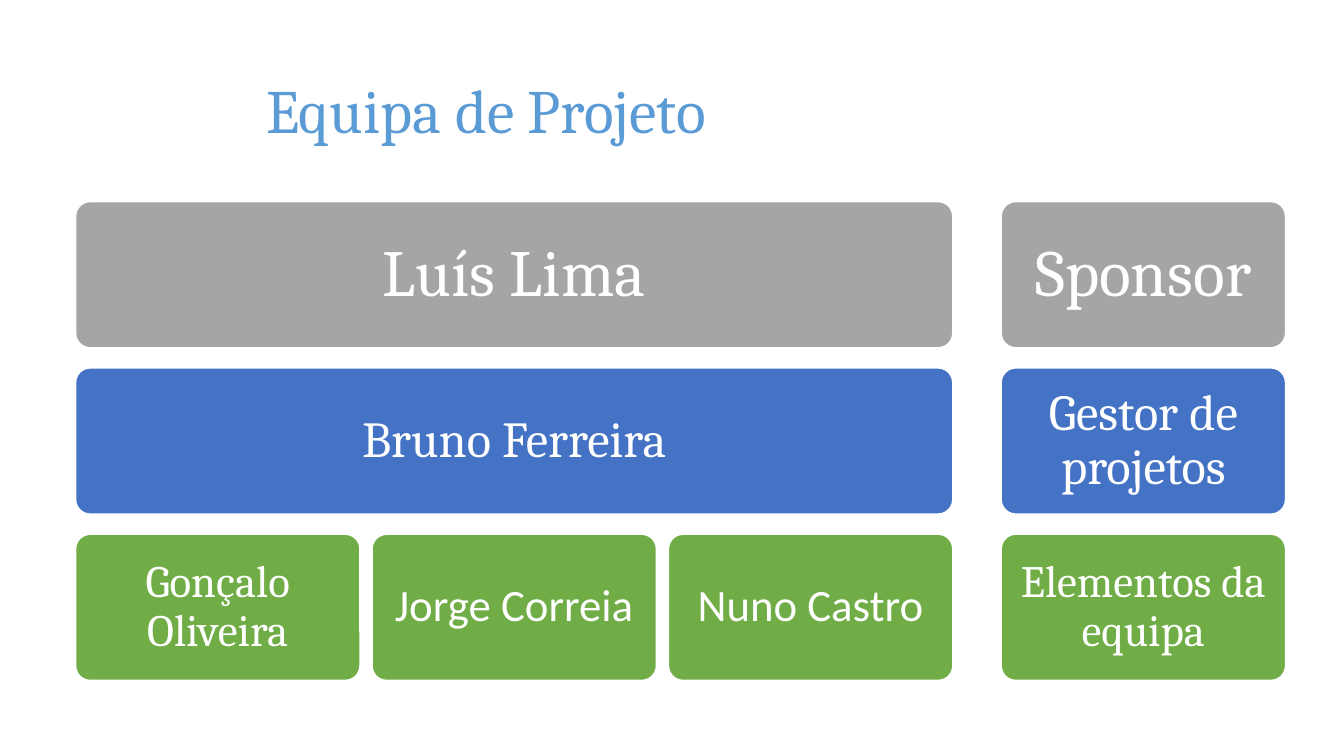
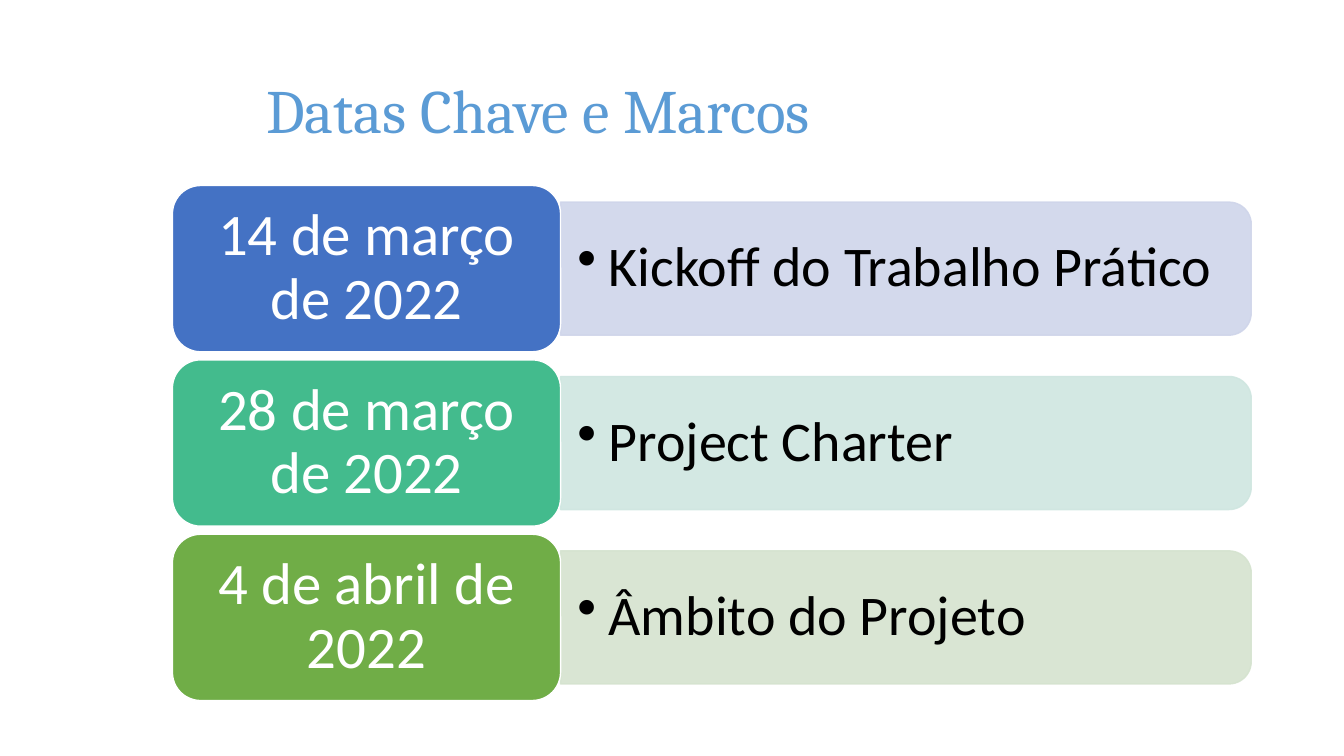
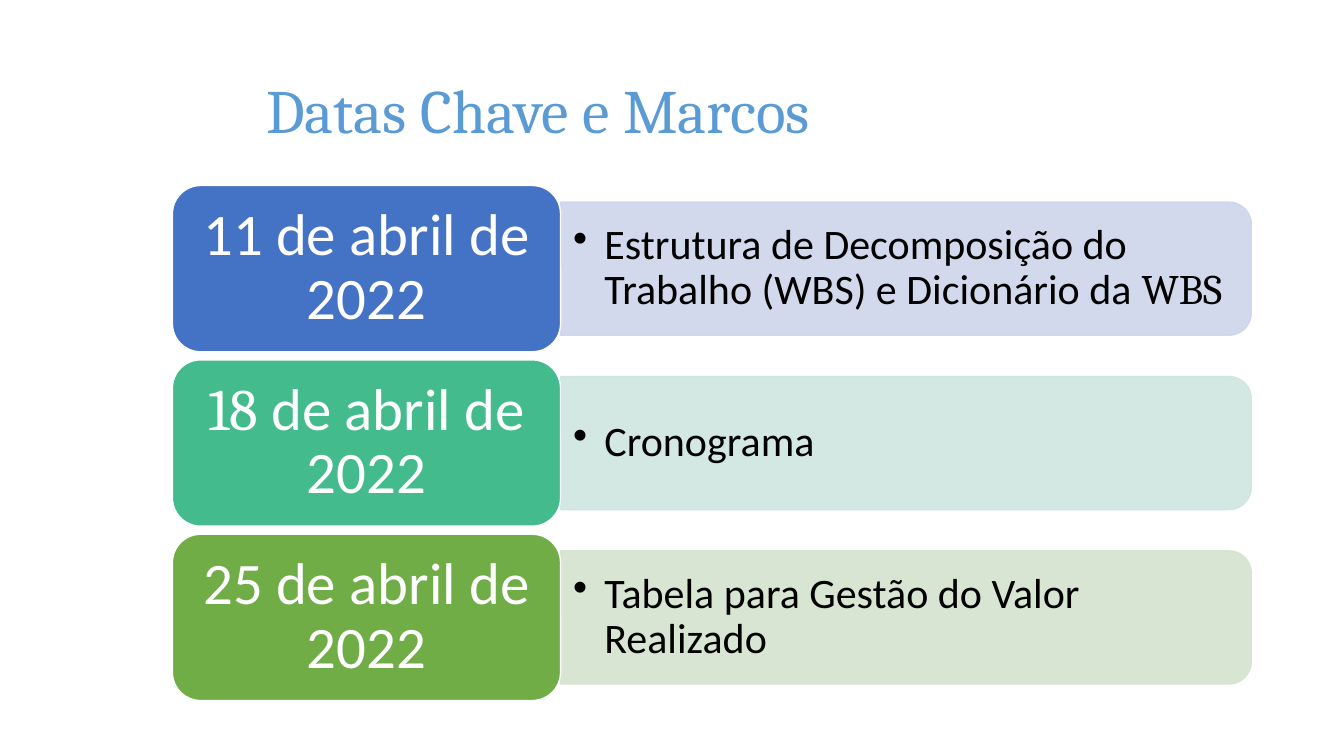
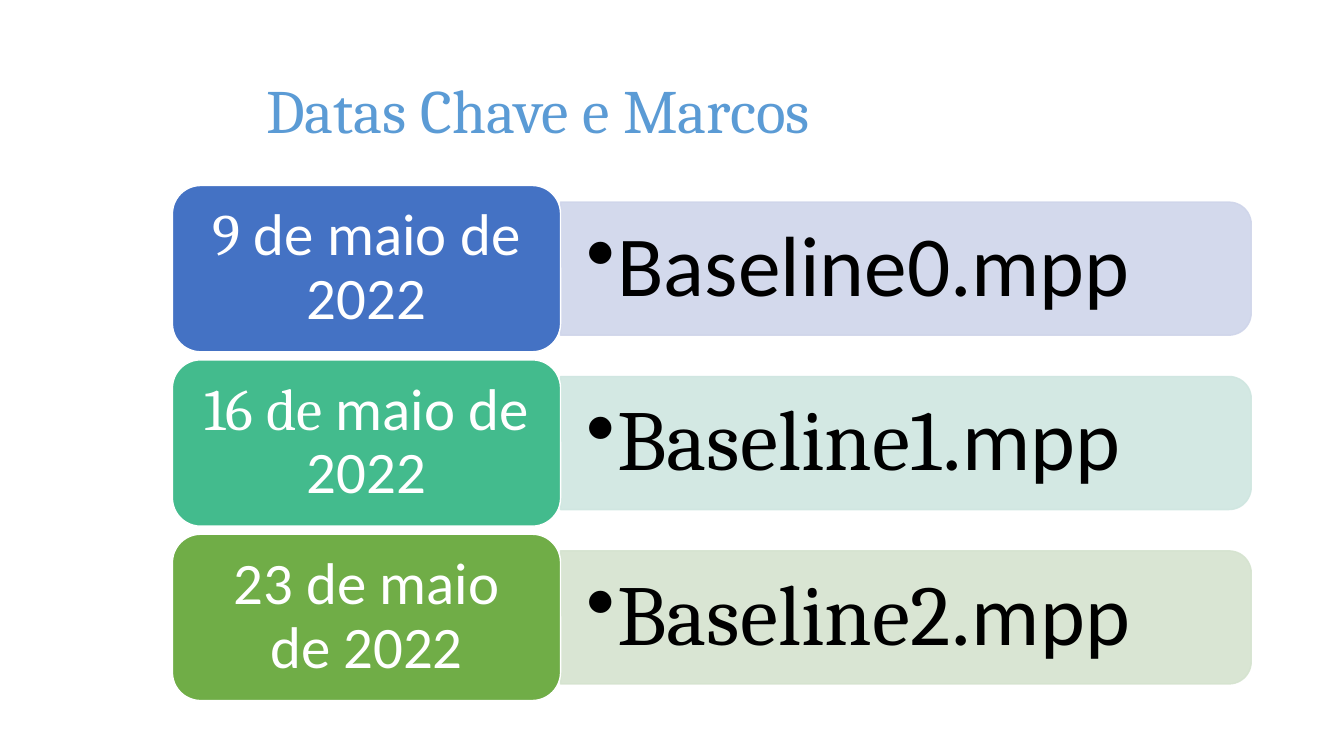
"""Build the project team and key dates slides."""
from dataclasses import dataclass

from pptx import Presentation
from pptx import util as u
from pptx.dml.color import RGBColor
from pptx.enum import shapes, text
from pptx.oxml.ns import qn


@dataclass(frozen=True)
class Theme:
    serif: str = "Cambria"
    sans: str = "Calibri"
    title: str = "5B9BD5"
    white: str = "FFFFFF"
    black: str = "000000"
    grey: str = "A5A5A5"
    blue: str = "4472C4"
    teal: str = "43BB8D"
    green: str = "70AD47"
    bands: tuple = ("CFD5EA", "CFE6E0", "D5E3CF")
    band_alpha: int = 90
    title_size: int = 44
    sponsor_size: int = 47
    manager_size: int = 36
    member_size: int = 32
    date_size: int = 42


T = Theme()


class Deck:
    def __init__(self):
        self.prs = Presentation()
        self.prs.slide_width = u.Inches(13.33)
        self.prs.slide_height = u.Inches(7.5)
        self.s = None

    def slide(self, title):
        self.s = self.prs.slides.add_slide(self.prs.slide_layouts[6])
        self.textbox([(title, T.serif)], 2.54, 0.4, 9.88, 1.45, T.title_size, T.title)

    def add_runs(self, sp, runs, size, color, align=text.PP_ALIGN.LEFT):
        tf = sp.text_frame
        tf.word_wrap = True
        tf.vertical_anchor = text.MSO_ANCHOR.MIDDLE
        p = tf.paragraphs[0]
        p.alignment = align
        p.line_spacing = 0.9
        for words, font in runs:
            r = p.add_run()
            r.text = words
            r.font.name = font
            r.font.size = u.Pt(size)
            r.font.color.rgb = RGBColor.from_string(color)
        return tf

    def pad(self, tf, size, ratio):
        side = size / 240
        tf.margin_left = tf.margin_right = u.Inches(side)
        tf.margin_top = tf.margin_bottom = u.Inches(side * ratio)

    def textbox(self, runs, x, y, w, h, size, color):
        sp = self.s.shapes.add_textbox(*map(u.Inches, (x, y, w, h)))
        return self.add_runs(sp, runs, size, color)

    def shape(self, kind, x, y, w, h, fill, line):
        sp = self.s.shapes.add_shape(kind, *map(u.Inches, (x, y, w, h)))
        sp.shadow.inherit = False
        sp.fill.solid()
        sp.fill.fore_color.rgb = RGBColor.from_string(fill)
        sp.line.color.rgb = RGBColor.from_string(line)
        sp.line.width = u.Pt(1)
        return sp

    def card(self, runs, x, y, w, h, fill, size, radius=0.1, ratio=1):
        sp = self.shape(shapes.MSO_SHAPE.ROUNDED_RECTANGLE, x, y, w, h, fill, T.white)
        sp.adjustments[0] = radius
        tf = self.add_runs(sp, runs, size, T.white, text.PP_ALIGN.CENTER)
        self.pad(tf, size, ratio)

    def band(self, x, y, w, h, fill):
        turn = (w - h) / 2
        sp = self.shape(shapes.MSO_SHAPE.ROUND_2_SAME_RECTANGLE,
                        x + turn, y - turn, h, w, fill, fill)
        sp.rotation = 90
        for clr in sp._element.spPr.iter(qn("a:srgbClr")):
            alpha = clr.makeelement(qn("a:alpha"), {"val": str(T.band_alpha * 1000)})
            clr.append(alpha)

    def bullet(self, runs, x, y, w, h, size):
        tf = self.textbox(runs, x, y, w, h, size, T.black)
        self.pad(tf, size, 0.5)
        pPr = tf.paragraphs[0]._p.get_or_add_pPr()
        indent = u.Inches(0.31)
        pPr.set("marL", str(indent))
        pPr.set("indent", str(-indent))
        pPr.append(pPr.makeelement(qn("a:buChar"), {"char": "•"}))

    def team(self, rows):
        left, top, w, h = 0.75, 2, 2.82, 1.45
        step_x, step_y, role_x = 2.94, 1.65, 9.93
        full = 2 * step_x + w
        for i, (people, role, fill, size) in enumerate(rows):
            y = top + i * step_y
            card_w = full if len(people) == 1 else w
            for j, person in enumerate(people):
                self.card([person], left + j * step_x, y, card_w, h, fill, size)
            self.card([(role, T.serif)], role_x, y, w, h, fill, size)

    def milestones(self, rows, size):
        left, top, step = 1.71, 1.84, 1.73
        date_w, date_h = 3.85, 1.65
        band_w, band_h, text_w, text_h = 6.85, 1.32, 6.79, 1.19
        band_x = left + date_w
        fills = (T.blue, T.teal, T.green)
        for i, (date, event) in enumerate(rows):
            y = top + i * step
            self.band(band_x, y + (date_h - band_h) / 2, band_w, band_h, T.bands[i])
            self.bullet(event, band_x, y + (date_h - text_h) / 2, text_w, text_h, size)
            self.card(date, left, y, date_w, date_h, fills[i], T.date_size, 0.17, 0.5)


def sans(words):
    return words, T.sans


def serif(words):
    return words, T.serif


def main():
    deck = Deck()
    deck.slide("Equipa de Projeto")
    deck.team([
        ([serif("Luís Lima")], "Sponsor", T.grey, T.sponsor_size),
        ([serif("Bruno Ferreira")], "Gestor de projetos", T.blue, T.manager_size),
        ([serif("Gonçalo Oliveira"), sans("Jorge Correia"), sans("Nuno Castro")],
         "Elementos da equipa", T.green, T.member_size),
    ])

    agenda = [
        (40, [
            ([sans("14 de março de 2022")], [sans("Kickoff do Trabalho Prático")]),
            ([sans("28 de março de 2022")], [sans("Project Charter")]),
            ([sans("4 de abril de 2022")], [sans("Âmbito do Projeto")]),
        ]),
        (30, [
            ([sans("11 de abril de 2022")],
             [sans("Estrutura de Decomposição do Trabalho (WBS) e Dicionário da "),
              serif("WBS")]),
            ([serif("18"), sans(" de abril de 2022")], [sans("Cronograma")]),
            ([sans("25 de abril de 2022")],
             [sans("Tabela para Gestão do Valor Realizado")]),
        ]),
        (61, [
            ([serif("9"), sans(" de maio de 2022")], [sans("Baseline0.mpp")]),
            ([serif("16 de "), sans("maio de 2022")],
             [serif("Baseline1"), sans(".mpp")]),
            ([sans("23 de maio de 2022")], [serif("Baseline2"), sans(".mpp")]),
        ]),
    ]
    for size, rows in agenda:
        deck.slide("Datas Chave e Marcos")
        deck.milestones(rows, size)
    deck.prs.save("out.pptx")


if __name__ == "__main__":
    main()
